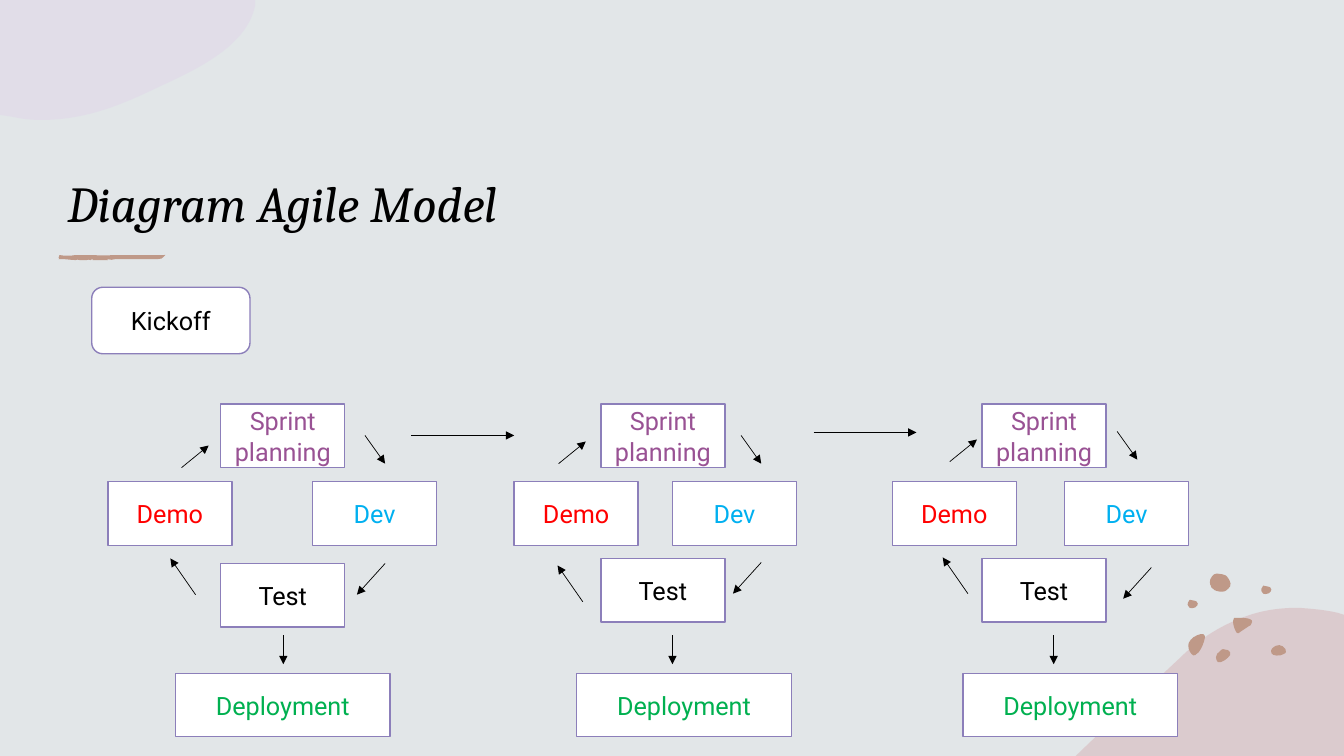
from pptx import Presentation
from pptx.dml.color import RGBColor
from pptx.enum.shapes import MSO_CONNECTOR, MSO_SHAPE
from pptx.enum.text import MSO_ANCHOR, MSO_AUTO_SIZE, PP_ALIGN
from pptx.util import Inches, Pt
from lxml.etree import SubElement
from pptx.oxml.ns import qn

# Style
BACKGROUND, BROWN, PINK, LILAC = "E2E6E8", "BF9988", "D6B2B6", "E1D5E8"
WHITE, BLACK, BORDER = "FFFFFF", "000000", "8C7FBA"
TITLE_FONT = {"name": "Cambria", "size": Pt(36), "italic": True, "bold": False}
BOX_FONT = {"name": "Roboto", "size": Pt(18)}
FRAME = {"word_wrap": True, "auto_size": MSO_AUTO_SIZE.NONE}
BOX_WIDTH, BOX_HEIGHT, DEPLOYMENT_WIDTH = 1.23, 0.63, 2.13

# Box text, text colour, width and top; a sprint may override the top of Test
STAGES = {
    "planning": ("Sprint\nplanning", "995294", BOX_WIDTH, 4.01),
    "demo": ("Demo", "FF0000", BOX_WIDTH, 4.78),
    "dev": ("Dev", "00B0F0", BOX_WIDTH, 4.78),
    "test": ("Test", BLACK, BOX_WIDTH, 5.54),
    "deployment": ("Deployment", "00B050", DEPLOYMENT_WIDTH, 6.68),
}

# Direction of the arrows: to planning, to dev, to test, to demo, to deployment
ARROW_STEPS = [(0.27, -0.22), (0.2, 0.28), (-0.28, 0.31), (-0.25, -0.36), (0, 0.29)]

SPRINTS = [
    {"left": {"planning": 2.19, "demo": 1.07, "dev": 3.1, "test": 2.19, "deployment": 1.74},
     "top": {"test": 5.59},
     "arrows": [(1.8, 4.64), (3.62, 4.32), (3.82, 5.59), (1.94, 5.9), (2.81, 6.3)]},
    {"left": {"planning": 5.96, "demo": 5.1, "dev": 6.67, "test": 5.96, "deployment": 5.72},
     "top": {},
     "arrows": [(5.54, 4.6), (7.35, 4.32), (7.55, 5.58), (5.78, 5.97), (6.67, 6.3)]},
    {"left": {"planning": 9.74, "demo": 8.85, "dev": 10.56, "test": 9.74, "deployment": 9.55},
     "top": {},
     "arrows": [(9.42, 4.58), (11.08, 4.28), (11.42, 5.63), (9.6, 5.89), (10.45, 6.3)]},
]
NEXT_SPRINT_ARROWS = [(4.08, 4.32), (8.07, 4.29)]
NEXT_SPRINT_STEP = (1.02, 0)

# Outlines: start point, then lines (x, y) or Bezier curves (three points)
PINK_HILL = [
    (12.88, 6.03), (13.01, 6.04, 13.14, 6.05, 13.27, 6.08), (13.33, 6.1), (13.33, 7.5),
    (10.67, 7.5), (10.68, 7.49), (11.02, 7.16, 11.37, 6.84, 11.69, 6.54),
    (11.91, 6.32, 12.14, 6.19, 12.37, 6.11), (12.54, 6.05, 12.71, 6.03, 12.88, 6.03)]
LILAC_CLOUD = [
    (0, 0), (2.53, 0), (2.53, 0.06), (2.45, 0.44, 2, 0.67, 1.58, 0.86),
    (1.23, 1.03, 0.86, 1.19, 0.41, 1.19), (0.31, 1.19, 0.22, 1.18, 0.13, 1.16), (0, 1.14)]
BRUSH_PARTS = [
    [(0.58, 2.55), (1.64, 2.55)],
    [(0.58, 2.57), (0.59, 2.57, 0.59, 2.57, 0.6, 2.57), (0.59, 2.57, 0.59, 2.57, 0.58, 2.57)],
    [(0.6, 2.57), (0.6, 2.57, 0.6, 2.57, 0.6, 2.57)],
    [(1.64, 2.53), (1.64, 2.53, 1.64, 2.53, 1.63, 2.53), (1.64, 2.53, 1.64, 2.53, 1.64, 2.53)],
    [(0.86, 2.58), (0.87, 2.57, 0.89, 2.58, 0.9, 2.58), (0.9, 2.57, 0.92, 2.58, 0.91, 2.57),
     (0.91, 2.57, 0.93, 2.57, 0.92, 2.58), (0.94, 2.58, 1.05, 2.58, 1.07, 2.58),
     (1.06, 2.57), (1.09, 2.58, 1.12, 2.58, 1.15, 2.57), (1.33, 2.57), (1.49, 2.57), (1.57, 2.57),
     (1.63, 2.57, 1.61, 2.54, 1.64, 2.53), (1.57, 2.53), (1.33, 2.53), (1.11, 2.53),
     (1.06, 2.54, 0.94, 2.53, 0.88, 2.53), (0.75, 2.53), (0.7, 2.54, 0.64, 2.54, 0.59, 2.53),
     (0.58, 2.54, 0.57, 2.58, 0.61, 2.57), (0.65, 2.57, 0.71, 2.58, 0.75, 2.58),
     (0.76, 2.58, 0.78, 2.57, 0.79, 2.58)],
]
SPOTS = [
    [(12.13, 6.44), (12.15, 6.44, 12.16, 6.44, 12.18, 6.45),
     (12.2, 6.46, 12.21, 6.48, 12.2, 6.5), (12.18, 6.53, 12.12, 6.58, 12.08, 6.57),
     (12.07, 6.56, 12.06, 6.54, 12.06, 6.52), (12.06, 6.5, 12.08, 6.47, 12.1, 6.46),
     (12.11, 6.45, 12.12, 6.44, 12.13, 6.44)],
    [(11.91, 6.29), (11.93, 6.29, 11.95, 6.29, 11.95, 6.31),
     (11.95, 6.32, 11.95, 6.32, 11.95, 6.33), (11.94, 6.38, 11.92, 6.43, 11.89, 6.47),
     (11.87, 6.49, 11.84, 6.52, 11.82, 6.49), (11.79, 6.46, 11.78, 6.41, 11.79, 6.38),
     (11.8, 6.35, 11.82, 6.34, 11.84, 6.32), (11.85, 6.32, 11.88, 6.29, 11.91, 6.29)],
    [(12.69, 6.4), (12.71, 6.4, 12.74, 6.42, 12.75, 6.44),
     (12.76, 6.46, 12.76, 6.48, 12.73, 6.49), (12.7, 6.51, 12.62, 6.51, 12.61, 6.48),
     (12.6, 6.46, 12.61, 6.44, 12.62, 6.43), (12.64, 6.41, 12.66, 6.4, 12.69, 6.4)],
    [(12.01, 5.81), (12, 5.81, 11.99, 5.75, 12.02, 5.72),
     (12.04, 5.7, 12.04, 5.69, 12.07, 5.69), (12.1, 5.69, 12.14, 5.7, 12.16, 5.71),
     (12.18, 5.73, 12.22, 5.78, 12.2, 5.82), (12.17, 5.85, 12.16, 5.87, 12.12, 5.87),
     (12.09, 5.87, 12.04, 5.86, 12.03, 5.84), (12.01, 5.83, 12.01, 5.82, 12.01, 5.81)],
    [(12.28, 6.13), (12.34, 6.13, 12.45, 6.13, 12.41, 6.19),
     (12.41, 6.2, 12.4, 6.21, 12.39, 6.21), (12.36, 6.23, 12.33, 6.25, 12.3, 6.27),
     (12.29, 6.28, 12.28, 6.29, 12.27, 6.28), (12.27, 6.28, 12.26, 6.27, 12.26, 6.27),
     (12.24, 6.23, 12.23, 6.2, 12.23, 6.16), (12.23, 6.15, 12.23, 6.14, 12.24, 6.13)],
]
SMALL_SPOT = [
    (0, 0.05), (0, 0.05, 0, 0.01, 0.02, 0), (0.04, 0, 0.05, 0, 0.07, 0.01),
    (0.08, 0.01, 0.1, 0.02, 0.1, 0.04), (0.1, 0.05, 0.09, 0.07, 0.08, 0.07),
    (0.08, 0.07, 0.08, 0.08, 0.06, 0.08), (0.05, 0.08, 0.03, 0.09, 0.02, 0.08),
    (0.01, 0.06, 0, 0.06, 0, 0.05)]
SMALL_SPOT_CORNERS = [(12.51, 5.81), (11.78, 5.95)]


def color(hex_string):
    return RGBColor.from_string(hex_string)


def set_attributes(target, values):
    for name, value in values.items():
        setattr(target, name, value)


class SlideBuilder:
    def __init__(self, presentation):
        self.slide = presentation.slides.add_slide(presentation.slide_layouts[5])
        self.shapes = self.slide.shapes
        self.fill(self.slide.background, BACKGROUND)

    def fill(self, target, hex_string, opacity=100):
        target.fill.solid()
        target.fill.fore_color.rgb = color(hex_string)
        if opacity < 100:
            solid_color = next(target._element.spPr.iter(qn("a:srgbClr")))
            SubElement(solid_color, qn("a:alpha"), val=str(opacity * 1000))

    def text(self, shape, text, font, hex_string, alignment, anchor):
        frame = shape.text_frame
        frame.text = text
        set_attributes(frame, {**FRAME, "vertical_anchor": anchor})
        for paragraph in frame.paragraphs:
            paragraph.alignment = alignment
            for run in paragraph.runs:
                set_attributes(run.font, font)
                run.font.color.rgb = color(hex_string)

    def title(self, text, left, top, width, height):
        title = self.shapes.title
        set_attributes(title, {"left": Inches(left), "top": Inches(top),
                               "width": Inches(width), "height": Inches(height)})
        self.text(title, text, TITLE_FONT, BLACK, PP_ALIGN.LEFT, MSO_ANCHOR.BOTTOM)

    def freeform(self, outline, hex_string, opacity=100):
        points = [(Inches(segment[i]), Inches(segment[i + 1]))
                  for segment in outline for i in range(0, len(segment), 2)]
        builder = self.shapes.build_freeform(*points[0])
        builder.add_line_segments(points[1:], close=True)
        shape = builder.convert_to_shape()
        # Join the three points of each curve into one Bezier segment
        lines = iter(list(shape._element.spPr.iter(qn("a:lnTo"))))
        for segment in outline[1:]:
            curve = next(lines)
            if len(segment) == 6:
                curve.tag = qn("a:cubicBezTo")
                for line in (next(lines), next(lines)):
                    curve.append(line[0])
                    line.getparent().remove(line)
        shape.shadow.inherit = False
        self.fill(shape, hex_string, opacity)
        shape.line.fill.background()

    def box(self, text, hex_string, left, top, width, height=BOX_HEIGHT, kind=MSO_SHAPE.RECTANGLE):
        shape = self.shapes.add_shape(kind, Inches(left), Inches(top), Inches(width), Inches(height))
        shape.shadow.inherit = False
        self.fill(shape, WHITE)
        shape.line.color.rgb = color(BORDER)
        shape.line.width = Pt(1)
        self.text(shape, text, BOX_FONT, hex_string, PP_ALIGN.CENTER, MSO_ANCHOR.MIDDLE)

    def arrow(self, start, step):
        (x, y), (right, down) = start, step
        connector = self.shapes.add_connector(MSO_CONNECTOR.STRAIGHT, Inches(x), Inches(y),
                                              Inches(x + right), Inches(y + down))
        connector.line.color.rgb = color(BLACK)
        connector.line.width = Pt(0.5)
        properties = connector._element.spPr
        SubElement(properties.find(qn("a:ln")), qn("a:tailEnd"), type="triangle")
        SubElement(properties, qn("a:effectLst"))


def main():
    presentation = Presentation()
    presentation.slide_width, presentation.slide_height = Inches(13.33), Inches(7.5)
    builder = SlideBuilder(presentation)
    # Decoration
    builder.freeform(PINK_HILL, PINK, 50)
    builder.freeform(LILAC_CLOUD, LILAC, 50)
    small_spots = [[tuple(value + corner[index % 2] for index, value in enumerate(segment))
                    for segment in SMALL_SPOT] for corner in SMALL_SPOT_CORNERS]
    for outline in SPOTS + small_spots + BRUSH_PARTS:
        builder.freeform(outline, BROWN)
    # Title and kickoff
    builder.title("Diagram Agile Model", 0.57, 0.91, 11.02, 1.45)
    builder.box("Kickoff", BLACK, 0.91, 2.85, 1.57, 0.66, MSO_SHAPE.ROUNDED_RECTANGLE)
    # Sprint cycles
    for sprint in SPRINTS:
        for stage, (text, hex_string, width, top) in STAGES.items():
            builder.box(text, hex_string, sprint["left"][stage], sprint["top"].get(stage, top), width)
        for start, step in zip(sprint["arrows"], ARROW_STEPS):
            builder.arrow(start, step)
    # Arrows from one sprint to the next
    for start in NEXT_SPRINT_ARROWS:
        builder.arrow(start, NEXT_SPRINT_STEP)
    presentation.save("out.pptx")


if __name__ == "__main__":
    main()
